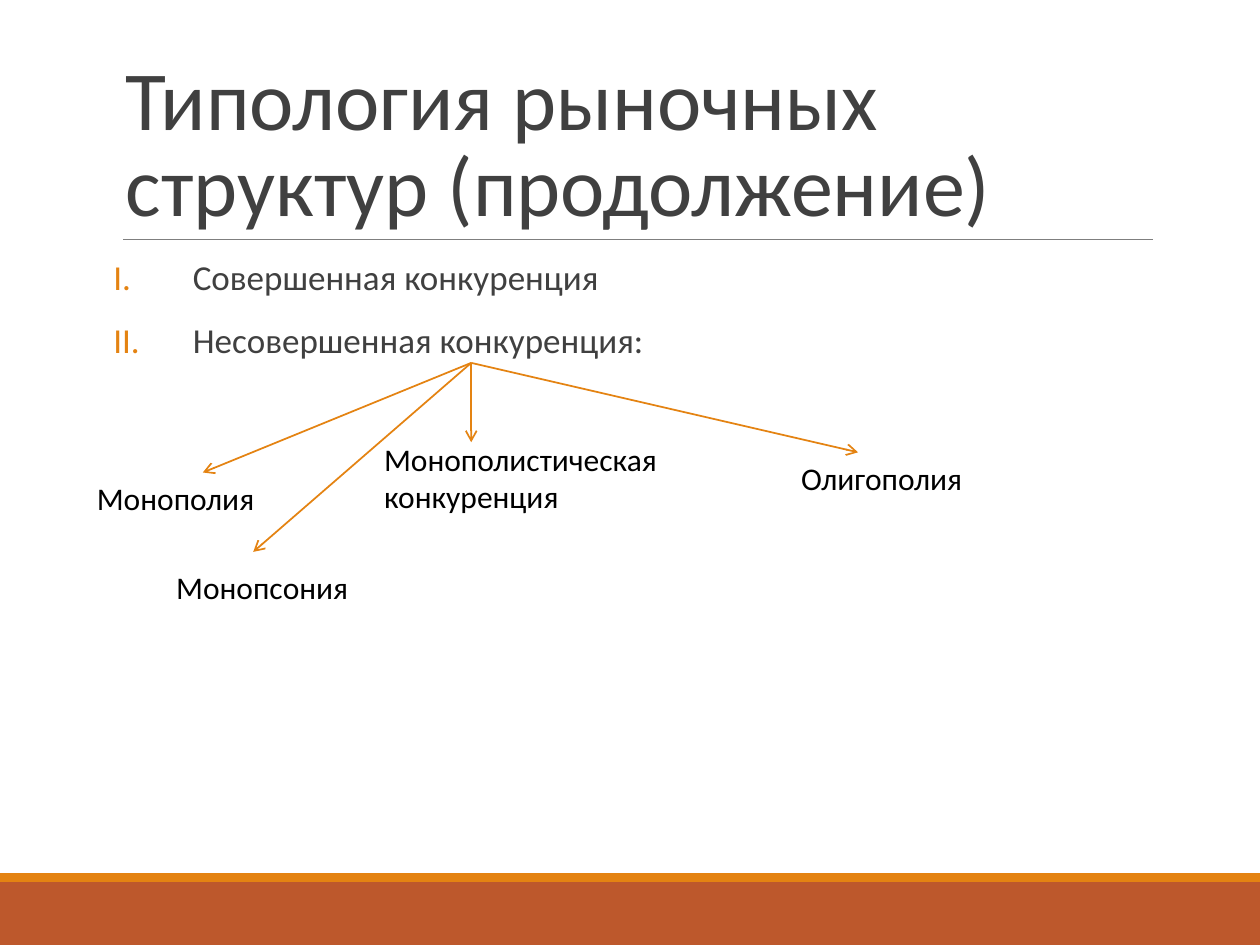
import pptx
import pptx.util
import pptx.dml.color
import pptx.enum.shapes
import pptx.enum.text
import pptx.oxml.ns
from lxml import etree

Inches = pptx.util.Inches
Pt = pptx.util.Pt
COLORS = {
    "rust": "BD582C",
    "orange": "E48312",
    "rule": "7F7F7F",
    "gray": "404040",
    "black": "000000",
}


def color(name):
    return pptx.dml.color.RGBColor.from_string(COLORS[name])


def add_node(parent, tag, **attrs):
    return etree.SubElement(parent, pptx.oxml.ns.qn(tag), **attrs)


def add_bar(slide, left, top, width, height, fill):
    bar = slide.shapes.add_shape(
        pptx.enum.shapes.MSO_SHAPE.RECTANGLE,
        Inches(left), Inches(top), Inches(width), Inches(height))
    bar.shadow.inherit = False
    bar.fill.solid()
    bar.fill.fore_color.rgb = color(fill)
    bar.line.fill.background()


def add_line(slide, start, end, tint, weight, arrow=False):
    line = slide.shapes.add_connector(
        pptx.enum.shapes.MSO_CONNECTOR.STRAIGHT,
        *(Inches(v) for v in (*start, *end)))
    line.line.color.rgb = color(tint)
    line.line.width = Pt(weight)
    if arrow:
        add_node(line.line._get_or_add_ln(), "a:tailEnd", type="arrow")
    add_node(line._element.spPr, "a:effectLst")


def add_text(slide, left, top, width, height, lines, size, tint):
    box = slide.shapes.add_textbox(
        Inches(left), Inches(top), Inches(width), Inches(height))
    frame = box.text_frame
    frame.word_wrap = True
    frame.text = "\n".join(lines)
    for para in frame.paragraphs:
        para.font.size = Pt(size)
        para.font.name = "Calibri"
        para.font.color.rgb = color(tint)
    return frame


def add_footer(slide, left, top, width, height):
    strip = 0.07
    add_bar(slide, left, top + strip, width, height - strip, "rust")
    add_bar(slide, left, top, width, strip, "orange")


def add_title(slide, left, top, width, height):
    base = top + height
    add_line(slide, (left + 0.08, base), (left + width, base), "rule", 0.5)
    frame = add_text(slide, left, top, width, height,
                     ["Типология рыночных структур (продолжение)"], 48, "gray")
    frame.vertical_anchor = pptx.enum.text.MSO_ANCHOR.BOTTOM
    frame.paragraphs[0].line_spacing = 0.85


def add_list(slide, left, top, width, height):
    frame = add_text(slide, left, top, width, height,
                     ["Совершенная конкуренция", "Несовершенная конкуренция:"],
                     20, "gray")
    frame.margin_left = frame.margin_right = 0
    indent = Inches(0.63)
    for index, para in enumerate(frame.paragraphs):
        props = para._p.get_or_add_pPr()
        props.set("marL", str(indent))
        props.set("indent", str(-indent))
        tint = add_node(props, "a:buClr")
        add_node(tint, "a:srgbClr", val=COLORS["orange"])
        add_node(props, "a:buAutoNum", type="romanUcPeriod")
        for font in props.findall(pptx.oxml.ns.qn("a:defRPr")):
            props.append(font)
        para.line_spacing = 0.9
        para.space_before = Pt(12 if index else 0)
        para.space_after = Pt(2)


def add_tree(slide, left, top):
    types = [
        ("Монополия", (0, 0.87, 1.65, 0.4), (0.94, 0.87)),
        ("Монополистическая конкуренция", (2.28, 0.56, 2.6, 0.7), (3.07, 0.63)),
        ("Олигополия", (5.59, 0.71, 1.65, 0.4), (6.14, 0.71)),
        ("Монопсония", (0.63, 1.58, 1.73, 0.4), (1.34, 1.5)),
    ]
    root = (left + 3.07, top)
    for name, (x, y, width, height), (tip_x, tip_y) in types:
        add_text(slide, left + x, top + y, width, height, [name], 18, "black")
        add_line(slide, root, (left + tip_x, top + tip_y), "orange", 1, True)


def main():
    deck = pptx.Presentation()
    deck.slide_width = Inches(10)
    deck.slide_height = Inches(7.5)
    slide = deck.slides.add_slide(deck.slide_layouts[6])
    add_footer(slide, 0, 6.93, 10, 0.57)
    add_title(slide, 0.9, 0.31, 8.25, 1.59)
    add_list(slide, 0.9, 2.02, 8.25, 4.4)
    add_tree(slide, 0.67, 2.88)
    deck.save("out.pptx")


if __name__ == "__main__":
    main()
